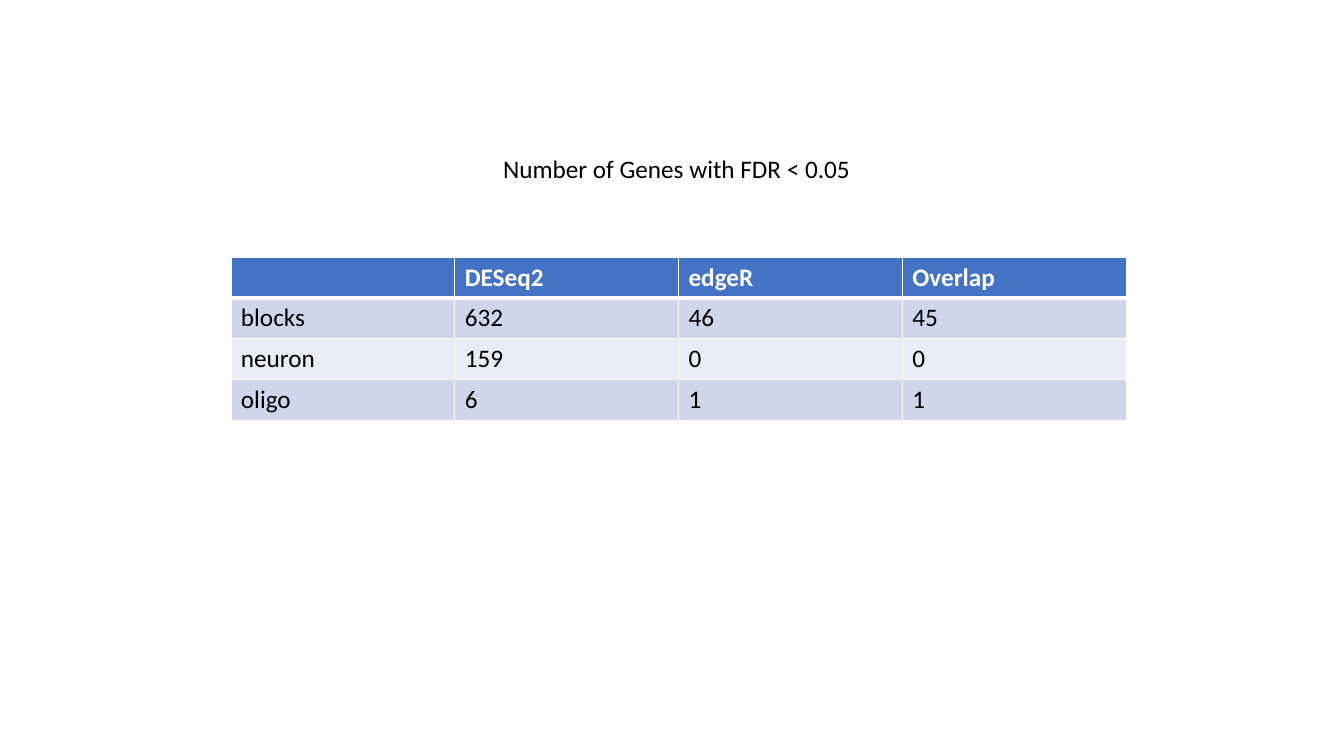
from lxml import etree
from pptx import Presentation
from pptx.dml.color import RGBColor
from pptx.enum.text import MSO_ANCHOR, MSO_AUTO_SIZE, PP_ALIGN
from pptx.oxml.ns import qn
from pptx.util import Inches, Pt

LEFT = PP_ALIGN.LEFT
TOP = MSO_ANCHOR.TOP
NO_AUTOFIT = MSO_AUTO_SIZE.NONE
TITLE_ONLY = 5

WHITE = RGBColor(0xFF, 0xFF, 0xFF)
BLACK = RGBColor(0x00, 0x00, 0x00)
HEADER_BLUE = RGBColor(0x44, 0x72, 0xC4)
BAND_DARK = RGBColor(0xCF, 0xD5, 0xEA)
BAND_LIGHT = RGBColor(0xE9, 0xEB, 0xF5)

GENE_COUNTS = [
    ["", "DESeq2", "edgeR", "Overlap"],
    ["blocks", "632", "46", "45"],
    ["neuron", "159", "0", "0"],
    ["oligo", "6", "1", "1"],
]
ROW_FILLS = [HEADER_BLUE, BAND_DARK, BAND_LIGHT, BAND_DARK]
COLUMN_WIDTH = Inches(2.22)
ROW_HEIGHT = Inches(0.405)


def write(frame, text, color=BLACK, bold=False, size=18, font="Calibri"):
    paragraph = frame.paragraphs[0]
    paragraph.text = text
    paragraph.alignment = LEFT
    paragraph.font.name = font
    paragraph.font.size = Pt(size)
    paragraph.font.bold = bold
    paragraph.font.color.rgb = color


def add_borders(cell, **widths):
    properties = cell._tc.get_or_add_tcPr()
    for side in "LRTB":
        line = etree.SubElement(properties, qn(f"a:ln{side}"), w=str(Pt(widths.get(side, 1))))
        fill = etree.SubElement(line, qn("a:solidFill"))
        etree.SubElement(fill, qn("a:srgbClr"), val=str(WHITE))


prs = Presentation()
prs.slide_width, prs.slide_height = Inches(13.33), Inches(7.5)
slide = prs.slides.add_slide(prs.slide_layouts[TITLE_ONLY])

# Heading
heading = slide.shapes.title
heading.left, heading.top = Inches(4.89), Inches(1.47)
heading.width, heading.height = Inches(3.69), Inches(0.4)
heading.text_frame.word_wrap = False
heading.text_frame.auto_size = NO_AUTOFIT
heading.text_frame.vertical_anchor = TOP
write(heading.text_frame, "Number of Genes with FDR < 0.05")

# Gene counts by method
row_count, column_count = len(GENE_COUNTS), len(GENE_COUNTS[0])
counts = slide.shapes.add_table(
    row_count, column_count, Inches(2.29), Inches(2.55),
    COLUMN_WIDTH * column_count, ROW_HEIGHT * row_count).table

for r, (values, row_fill) in enumerate(zip(GENE_COUNTS, ROW_FILLS)):
    is_header = r == 0
    # A thicker rule parts the header from the body
    rule = {0: {"B": 3}, 1: {"T": 3}}.get(r, {})
    for c, value in enumerate(values):
        cell = counts.cell(r, c)
        add_borders(cell, **rule)
        cell.fill.solid()
        cell.fill.fore_color.rgb = row_fill
        write(cell.text_frame, value, color=WHITE if is_header else BLACK, bold=is_header)

prs.save("out.pptx")
